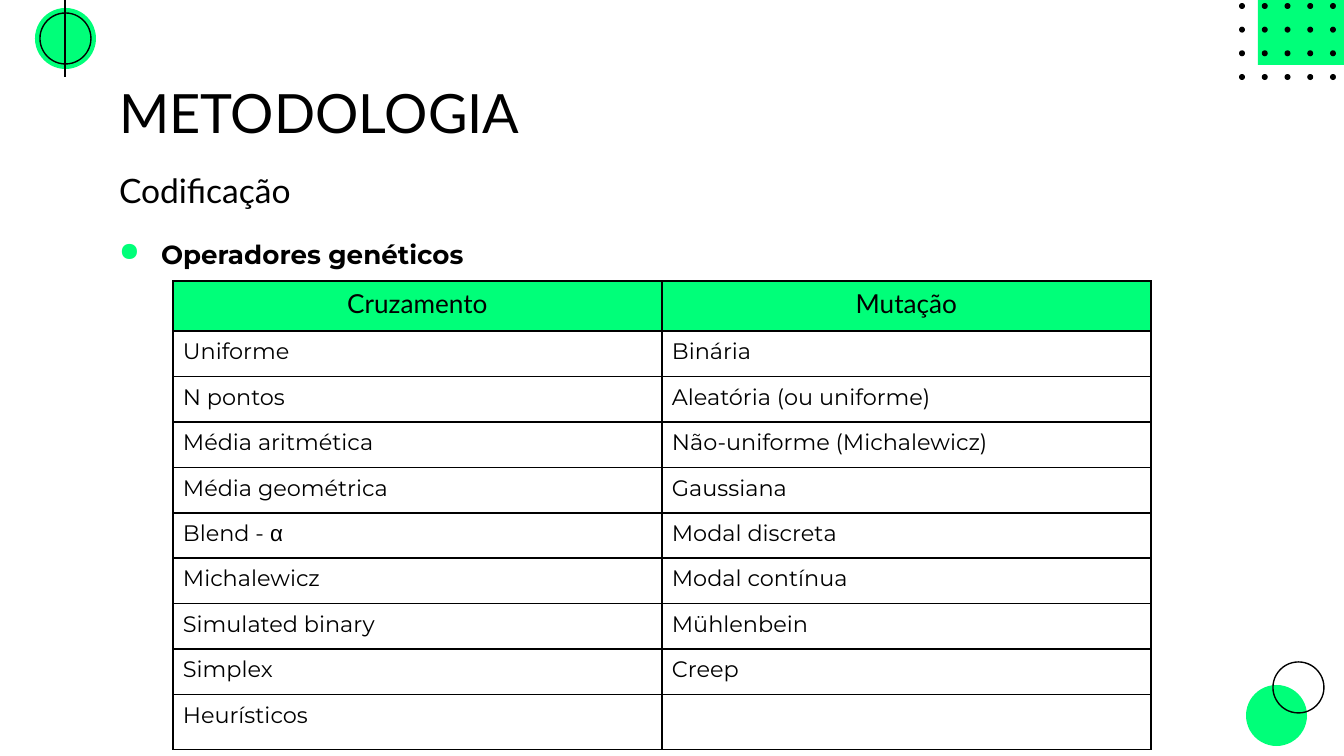
import dataclasses

import lxml.etree
import pptx
import pptx.dml.color
import pptx.enum.shapes
import pptx.enum.text
import pptx.oxml
import pptx.oxml.ns
import pptx.util

EMU_PER_PX = 914400 / 134.4


@dataclasses.dataclass(frozen=True)
class Theme:
    green: str = "00FF79"
    ink: str = "000000"
    heading_font: str = "Lato"
    body_font: str = "Montserrat"
    symbol_font: str = "Arial"
    title_size: int = 29
    subtitle_size: int = 18
    label_size: int = 14
    cell_size: int = 12
    outline: float = 0.75
    border: float = 0.96


THEME = Theme()
SLIDE_SIZE = (1344, 756)
SYMBOL = "α"
HEADERS = ("Cruzamento", "Mutação")
OPERATORS = (
    ("Uniforme", "Binária"),
    ("N pontos", "Aleatória (ou uniforme)"),
    ("Média aritmética", "Não-uniforme (Michalewicz)"),
    ("Média geométrica", "Gaussiana"),
    ("Blend - α", "Modal discreta"),
    ("Michalewicz", "Modal contínua"),
    ("Simulated binary", "Mühlenbein"),
    ("Simplex", "Creep"),
    ("Heurísticos", ""),
)


def px(length):
    return pptx.util.Emu(round(length * EMU_PER_PX))


def rgb(value):
    return pptx.dml.color.RGBColor.from_string(value)


def add_element(parent, tag, **attributes):
    element = lxml.etree.SubElement(parent, pptx.oxml.ns.qn(tag))
    for name, value in attributes.items():
        element.set(name, str(value))
    return element


def add_preset(slide, kind, box, fill=None, line=None):
    shape = slide.shapes.add_shape(kind, *map(px, box))
    shape.shadow.inherit = False
    if fill:
        shape.fill.solid()
        shape.fill.fore_color.rgb = rgb(fill)
    else:
        shape.fill.background()
    if line:
        shape.line.color.rgb = rgb(line)
        shape.line.width = pptx.util.Pt(THEME.outline)
    else:
        shape.line.fill.background()


def add_disc_and_ring(slide, box, ring_offset):
    """Green disc filling the box, with a thin ring shifted from its corner."""
    left, top, size, _ = box
    shift_x, shift_y = ring_offset
    ring = size - 10
    oval = pptx.enum.shapes.MSO_SHAPE.OVAL
    add_preset(slide, oval, box, fill=THEME.green)
    add_preset(slide, oval, (left + shift_x, top + shift_y, ring, ring), line=THEME.ink)


def add_corner_emblem(slide, box):
    left, top, size, _ = box
    add_disc_and_ring(slide, box, (5, 5))
    center = left + size // 2
    line = slide.shapes.add_connector(
        pptx.enum.shapes.MSO_CONNECTOR.STRAIGHT,
        px(center), px(0), px(center), px(top + size + 8),
    )
    line.line.color.rgb = rgb(THEME.ink)
    line.line.width = pptx.util.Pt(THEME.outline)
    add_element(line._element.spPr, "a:effectLst")


def add_dotted_corner(slide, box, columns=5, rows=4, dot=6):
    """Green block bleeding off the corner, under a grid of dots filling the box."""
    left, top, width, height = box
    kinds = pptx.enum.shapes.MSO_SHAPE
    add_preset(slide, kinds.RECTANGLE, (left + 19, top - 26, 122, 88), fill=THEME.green)
    step_x = (width - dot) / (columns - 1)
    step_y = (height - dot) / (rows - 1)
    for row in range(rows):
        for column in range(columns):
            place = (left + column * step_x, top + row * step_y, dot, dot)
            add_preset(slide, kinds.OVAL, place, fill=THEME.ink)


def format_runs(paragraph, font, size, bold=False):
    for run in paragraph.runs:
        run.font.name = font
        run.font.size = pptx.util.Pt(size)
        run.font.bold = bold
        run.font.color.rgb = rgb(THEME.ink)


def fill_text(shape, box, text, font, size, inset_y, bold=False, bullet=None):
    shape.left, shape.top, shape.width, shape.height = map(px, box)
    frame = shape.text_frame
    frame.text = text
    frame.word_wrap = True
    frame.auto_size = pptx.enum.text.MSO_AUTO_SIZE.NONE
    frame.vertical_anchor = pptx.enum.text.MSO_ANCHOR.TOP
    frame.margin_left = frame.margin_right = px(13)
    frame.margin_top = frame.margin_bottom = px(inset_y)
    paragraph = frame.paragraphs[0]
    paragraph.alignment = pptx.enum.text.PP_ALIGN.LEFT
    paragraph.space_before = pptx.util.Pt(0)
    indent = px(42) if bullet else 0
    properties = paragraph._p.get_or_add_pPr()
    properties.set("marL", str(indent))
    properties.set("indent", str(-indent))
    if bullet:
        add_element(add_element(properties, "a:buClr"), "a:srgbClr", val=THEME.green)
        add_element(properties, "a:buChar", char=bullet)
    else:
        add_element(properties, "a:buNone")
    format_runs(paragraph, font, size, bold)


def add_headings(slide, box):
    left, top, width, height = box
    title, body = slide.placeholders
    label = slide.shapes.add_textbox(0, 0, 0, 0)
    fill_text(title, (left, top, width, 95), "METODOLOGIA",
              THEME.heading_font, THEME.title_size, inset_y=13)
    fill_text(body, (left, top + 91, width, height - 91), "Codificação",
              THEME.heading_font, THEME.subtitle_size, inset_y=13)
    fill_text(label, (left, top + 165, width, 77), "Operadores genéticos",
              THEME.body_font, THEME.label_size, inset_y=7, bold=True, bullet="●")


def set_borders(cell):
    properties = cell._tc.get_or_add_tcPr()
    for index, side in enumerate(("a:lnL", "a:lnR", "a:lnT", "a:lnB")):
        line = add_element(properties, side, w=pptx.util.Pt(THEME.border))
        add_element(add_element(line, "a:solidFill"), "a:srgbClr", val=THEME.ink)
        properties.insert(index, line)


def fill_cell(cell, text, is_header):
    cell.margin_left = cell.margin_right = px(10)
    cell.margin_top = cell.margin_bottom = px(7)
    if is_header:
        cell.fill.solid()
        cell.fill.fore_color.rgb = rgb(THEME.green)
    else:
        cell.fill.background()
    set_borders(cell)
    plain, symbol, _ = text.partition(SYMBOL)
    cell.text_frame.text = plain
    paragraph = cell.text_frame.paragraphs[0]
    if symbol:
        paragraph.add_run().text = symbol
    if is_header:
        paragraph.alignment = pptx.enum.text.PP_ALIGN.CENTER
        format_runs(paragraph, THEME.heading_font, THEME.label_size)
    else:
        format_runs(paragraph, THEME.body_font, THEME.cell_size)
    if symbol:
        paragraph.runs[-1].font.name = THEME.symbol_font


def add_operator_table(slide, box, header_height=50, last_height=54):
    height = box[3]
    rows = (HEADERS, *OPERATORS)
    table = slide.shapes.add_table(len(rows), len(HEADERS), *map(px, box)).table
    table.horz_banding = False
    inner_height = (height - header_height - last_height) / (len(rows) - 2)
    heights = [header_height, *[inner_height] * (len(rows) - 2), last_height]
    for row_index, texts in enumerate(rows):
        table.rows[row_index].height = px(heights[row_index])
        for column_index, text in enumerate(texts):
            fill_cell(table.cell(row_index, column_index), text, row_index == 0)


def main():
    presentation = pptx.Presentation()
    presentation.slide_width, presentation.slide_height = map(px, SLIDE_SIZE)
    slide = presentation.slides.add_slide(presentation.slide_layouts[1])
    add_corner_emblem(slide, (35, 8, 61, 61))
    add_dotted_corner(slide, (1239, 3, 97, 77))
    add_disc_and_ring(slide, (1246, 685, 61, 61), (27, -23))
    add_headings(slide, (106, 66, 1132, 625))
    add_operator_table(slide, (173, 281, 978, 468))
    presentation.save("out.pptx")


if __name__ == "__main__":
    main()
